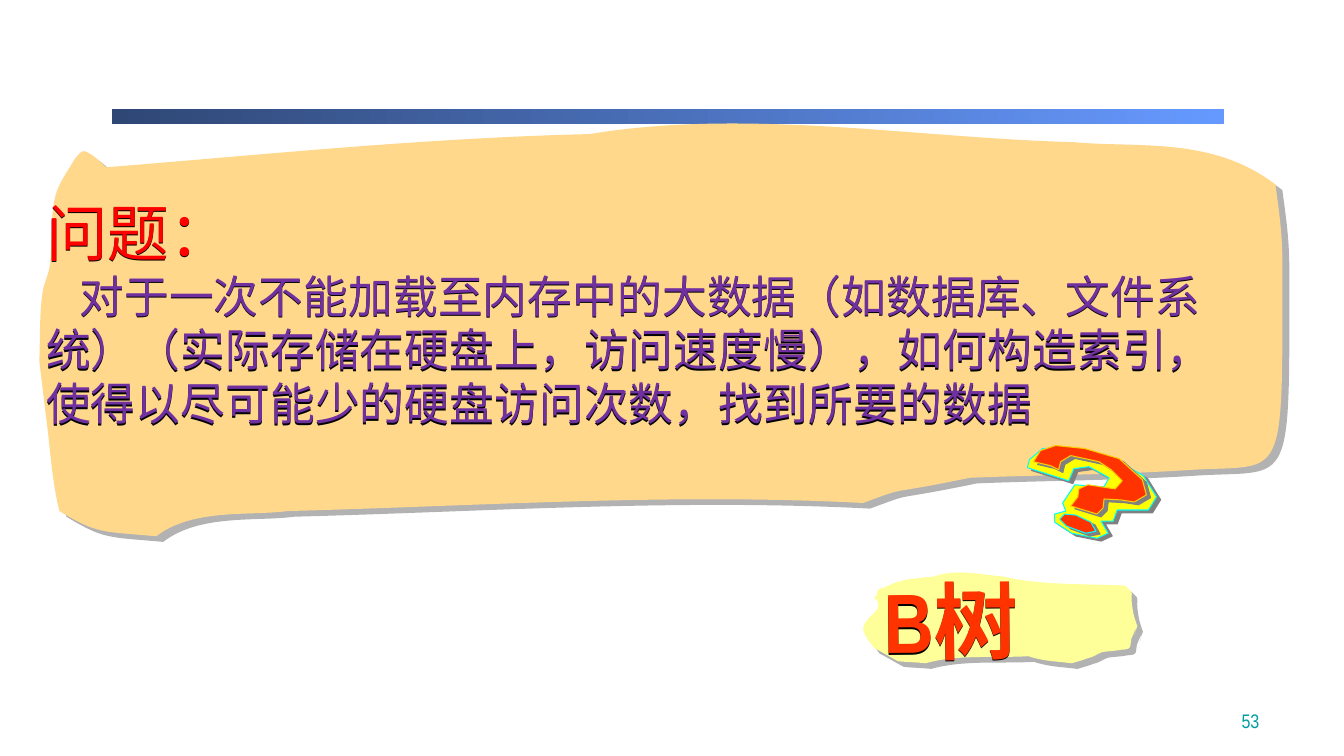
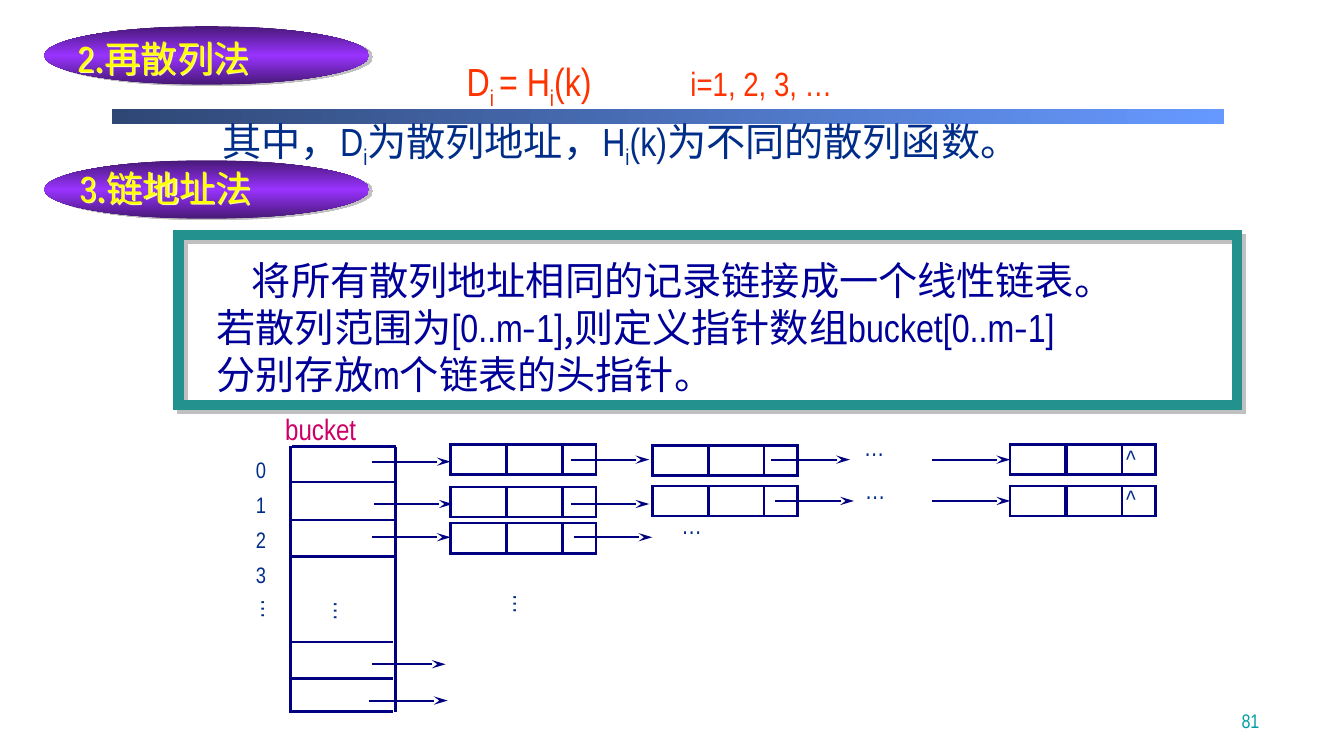
from dataclasses import dataclass
from typing import NamedTuple, Optional

from lxml.etree import SubElement
from pptx import Presentation
from pptx.dml.color import RGBColor
from pptx.enum.shapes import MSO_CONNECTOR, MSO_SHAPE
from pptx.enum.text import MSO_ANCHOR, MSO_AUTO_SIZE, PP_ALIGN
from pptx.oxml.ns import qn
from pptx.util import Pt

PX = 9144  # 100 px to the inch
NARROW, HEI = "Arial Narrow", "Noto Sans CJK SC"

BLACK = RGBColor(0x00, 0x00, 0x00)
RED = RGBColor(0xFF, 0x00, 0x00)
ORANGE_RED = RGBColor(0xFF, 0x33, 0x00)
GOLD = RGBColor(0xFF, 0xCC, 0x00)
YELLOW = RGBColor(0xFF, 0xFF, 0x00)
PALE_YELLOW = RGBColor(0xFF, 0xFF, 0x99)
SAND = RGBColor(0xFF, 0xD8, 0x8B)
CYAN = RGBColor(0x00, 0xFF, 0xFF)
TEAL = RGBColor(0x23, 0x91, 0x8E)
NUMBER_TEAL = RGBColor(0x00, 0x9E, 0xA1)
PURPLE = RGBColor(0x70, 0x30, 0xA0)
PILL_DARK = RGBColor(0x47, 0x18, 0x76)
PILL_LIGHT = RGBColor(0x99, 0x33, 0xFF)
BAND_DARK = RGBColor(0x2F, 0x47, 0x75)
BAND_LIGHT = RGBColor(0x66, 0x99, 0xFF)
NAVY = RGBColor(0x00, 0x00, 0x80)
TEXT_BLUE = RGBColor(0x00, 0x2D, 0x88)
PANEL_BLUE = RGBColor(0x00, 0x00, 0x99)
MAGENTA = RGBColor(0xCC, 0x00, 0x66)
DARK_GREY = RGBColor(0x80, 0x80, 0x80)
MID_GREY = RGBColor(0xB2, 0xB2, 0xB2)
LIGHT_GREY = RGBColor(0xC0, 0xC0, 0xC0)


class Area(NamedTuple):
    left: int
    top: int
    width: int
    height: int


class Shadow(NamedTuple):
    color: RGBColor
    distance: float
    angle: int


class Span(NamedTuple):
    text: str
    font: str = NARROW
    subscript: bool = False
    size: Optional[int] = None


@dataclass
class Line:
    spans: list[Span]
    size: int
    color: RGBColor
    indent: int = 0
    tab: int = 0
    spacing: float = 1.0
    bold: bool = False


@dataclass
class Outline:
    """Closed outline: a start point, then corners (x, y) or cubic curves of six numbers."""
    start: tuple[int, int]
    segments: list[tuple[int, ...]]
    fill: RGBColor
    shadow: Shadow
    line: Optional[RGBColor] = None


def scaled(*lengths: int) -> list[int]:
    return [length * PX for length in lengths]


def set_shadow(shape, shadow: Optional[Shadow]) -> None:
    shape.shadow.inherit = False
    if shadow:
        effects = shape._element.spPr.find(qn("a:effectLst"))
        outer = SubElement(effects, qn("a:outerShdw"), dist=str(int(Pt(shadow.distance))),
                           dir=str(shadow.angle * 60000), algn="ctr", rotWithShape="0")
        SubElement(outer, qn("a:srgbClr"), val=str(shadow.color))


def add_shape(page, kind, area: Area, line: Optional[RGBColor] = None, weight: float = 1.75,
              stops: Optional[list[RGBColor]] = None, angle: int = 0,
              shadow: Optional[Shadow] = None) -> None:
    shape = page.shapes.add_shape(kind, *scaled(*area))
    if stops:
        shape.fill.gradient()
        shape.fill.gradient_angle = angle
        stop_list = shape._element.spPr.find(qn("a:gradFill")).find(qn("a:gsLst"))
        stop_list.clear()
        for index, color in enumerate(stops):
            stop = SubElement(stop_list, qn("a:gs"), pos=str(100000 * index // (len(stops) - 1)))
            SubElement(stop, qn("a:srgbClr"), val=str(color))
    else:
        shape.fill.background()
    if line is None:
        shape.line.fill.background()
    else:
        shape.line.color.rgb = line
        shape.line.width = Pt(weight)
        SubElement(shape._element.spPr.find(qn("a:ln")), qn("a:miter"), lim="800000")
    set_shadow(shape, shadow)


def add_outline(page, outline: Outline) -> None:
    numbers = [number for segment in outline.segments for number in segment]
    points = [tuple(scaled(*pair)) for pair in zip(numbers[::2], numbers[1::2])]
    builder = page.shapes.build_freeform(*scaled(*outline.start))
    builder.add_line_segments(points, close=True)
    shape = builder.convert_to_shape()
    # Gather the points of each curve into one cubic segment
    corners = list(shape._element.spPr.iter(qn("a:lnTo")))
    for segment in outline.segments:
        group, corners = corners[:len(segment) // 2], corners[len(segment) // 2:]
        if len(group) == 3:
            curve = group[0].makeelement(qn("a:cubicBezTo"))
            group[0].addprevious(curve)
            for corner in group:
                curve.append(corner[0])
                corner.getparent().remove(corner)
    shape.fill.solid()
    shape.fill.fore_color.rgb = outline.fill
    if outline.line is None:
        shape.line.fill.background()
    else:
        shape.line.color.rgb = outline.line
        shape.line.width = Pt(0.75)
    set_shadow(shape, outline.shadow)


def add_text(page, area: Area, lines: list[Line], shadow: Optional[Shadow] = None,
             wrap: bool = True, rotation: float = 0):
    box = page.shapes.add_textbox(*scaled(*area))
    box.rotation = rotation
    frame = box.text_frame
    frame.word_wrap = wrap
    if not wrap:
        frame.auto_size = MSO_AUTO_SIZE.SHAPE_TO_FIT_TEXT
    for index, line in enumerate(lines):
        para = frame.add_paragraph() if index else frame.paragraphs[0]
        para.line_spacing = line.spacing
        layout = para._p.get_or_add_pPr()
        if line.indent:
            layout.set("indent", str(line.indent * PX))
        if line.tab:
            SubElement(SubElement(layout, qn("a:tabLst")), qn("a:tab"),
                       pos=str(line.tab * PX), algn="l")
        for span in line.spans:
            run = para.add_run()
            run.text = span.text
            font = run.font
            font.name, font.size, font.bold = span.font, Pt(span.size or line.size), line.bold
            font.color.rgb = line.color
            properties = run._r.get_or_add_rPr()
            SubElement(properties, qn("a:ea"), typeface=HEI)
            if span.subscript:
                properties.set("baseline", "-25000")
    set_shadow(box, shadow)
    return box


def add_line(page, x1: int, y1: int, x2: int, y2: int, weight: float, arrow: bool = False) -> None:
    line = page.shapes.add_connector(MSO_CONNECTOR.STRAIGHT, *scaled(x1, y1, x2, y2))
    line.line.color.rgb = NAVY
    line.line.width = Pt(weight)
    properties = line._element.spPr
    stroke = properties.find(qn("a:ln"))
    if arrow:
        SubElement(stroke, qn("a:tailEnd"), type="stealth", w="med", len="lg")
    else:
        stroke.set("cap", "sq")
    SubElement(properties, qn("a:effectLst"))


def add_page(deck, number: int):
    """A blank page with the shared band and page number."""
    page = deck.slides.add_slide(deck.slide_layouts[6])
    add_shape(page, MSO_SHAPE.RECTANGLE, Area(111, 108, 1103, 15), stops=[BAND_DARK, BAND_LIGHT])
    box = add_text(page, Area(981, 682, 278, 50), [Line([Span(str(number))], 14, NUMBER_TEAL)])
    box.text_frame.vertical_anchor = MSO_ANCHOR.BOTTOM
    box.text_frame.paragraphs[0].alignment = PP_ALIGN.RIGHT
    return page


def add_pill(page, top: int, text_left: int, text_top: int, number: str, name: str) -> None:
    add_shape(page, MSO_SHAPE.OVAL, Area(44, top, 322, 58), angle=90,
              stops=[PILL_DARK, PILL_LIGHT, PILL_DARK], shadow=Shadow(LIGHT_GREY, 3, 22))
    add_text(page, Area(text_left, text_top, 322, 53),
             [Line([Span(number), Span("." + name, HEI)], 26, YELLOW)],
             Shadow(PALE_YELLOW, 1.4, 45))


# Outlines of the question page
QUESTION_CARD = Outline((74, 158), [
    (77, 155, 80, 149, 84, 150), (92, 152, 105, 166, 105, 166), (267, 153, 420, 137, 585, 133),
    (741, 107, 910, 137, 1064, 141), (1129, 147, 1202, 135, 1265, 183),
    (1269, 213, 1272, 231, 1272, 266), (1272, 482, 1275, 461, 1184, 466),
    (1110, 471, 1036, 471, 962, 474), (870, 493, 905, 481, 856, 499),
    (665, 489, 476, 502, 285, 507), (249, 512, 191, 504, 155, 532), (101, 527, 97, 530, 59, 507),
    (51, 475, 50, 444, 45, 408), (43, 391, 39, 358, 39, 358), (40, 336, 39, 313, 42, 292),
    (43, 282, 47, 276, 49, 266), (53, 242, 49, 212, 56, 191), (61, 177, 68, 169, 74, 158),
], SAND, Shadow(MID_GREY, 6.4, 39))
ANSWER_CARD = Outline((869, 591), [
    (870, 589, 870, 587, 871, 585), (873, 583, 875, 584, 877, 583), (894, 574, 907, 574, 926, 572),
    (949, 564, 971, 570, 995, 572), (1034, 581, 1076, 579, 1116, 581),
    (1128, 593, 1119, 581, 1124, 608), (1125, 613, 1128, 621, 1128, 621),
    (1119, 649, 1134, 605, 1122, 634), (1121, 637, 1122, 641, 1120, 643),
    (1117, 645, 1113, 644, 1110, 645), (1104, 646, 1098, 646, 1093, 647),
    (1088, 649, 1084, 652, 1079, 653), (1074, 655, 1063, 658, 1063, 658),
    (1047, 656, 1035, 656, 1020, 651), (987, 653, 950, 649, 918, 658),
    (909, 657, 900, 657, 891, 656), (890, 656, 870, 644, 867, 643), (862, 636, 858, 632, 856, 624),
    (858, 614, 863, 613, 869, 606), (870, 604, 872, 602, 871, 600), (870, 590, 864, 596, 869, 591),
], PALE_YELLOW, Shadow(MID_GREY, 5.7, 45))
MARK_SHADOW = Shadow(DARK_GREY, 3.6, 34)
QUESTION_MARK = [
    Outline((1065, 465), [
        (1080, 463), (1100, 474), (1095, 483), (1066, 481), (1054, 499), (1057, 507), (1046, 510),
        (1046, 518), (1063, 529), (1088, 534), (1099, 529), (1092, 517), (1104, 517), (1108, 506),
        (1139, 506), (1147, 493), (1134, 472), (1101, 453), (1060, 444), (1034, 445), (1021, 456),
        (1019, 464), (1060, 477)], YELLOW, MARK_SHADOW, CYAN),
    Outline((1025, 458), [
        (1042, 462), (1050, 466), (1052, 458), (1062, 452), (1090, 458), (1102, 466), (1113, 477),
        (1106, 485), (1079, 481), (1070, 485), (1069, 493), (1062, 502), (1088, 510), (1094, 504),
        (1095, 495), (1112, 496), (1125, 498), (1137, 491), (1133, 476), (1110, 455), (1076, 445),
        (1047, 442), (1032, 447)], ORANGE_RED, MARK_SHADOW, GOLD),
    Outline((1067, 511), [
        (1056, 510), (1051, 515), (1058, 522), (1077, 529), (1087, 527), (1082, 518)],
        ORANGE_RED, MARK_SHADOW, CYAN),
]

# Linked lists of the hashing page
NODE_CELLS = [(0, 56), (55, 56), (111, 33)]  # offset and width
NODES = [(447, 441), (447, 483), (647, 442), (647, 482), (1002, 441), (1002, 482), (447, 519)]
BUCKET_LINES = [(291, 443, 2), (291, 478, 1.75), (291, 516, 1.75), (291, 552, 1.75),
                (289, 637, 1.75), (289, 673, 1.75), (288, 706, 2)]  # left, y, weight
ARROWS = [(369, 458), (566, 456), (765, 456), (924, 456), (371, 500), (566, 500), (769, 497),
          (924, 497), (369, 533), (569, 533), (366, 695)]
MARKS = [("…", 847, 423, 0), ("…", 848, 466, 0), ("…", 666, 500, 0), ("…", 304, 585, 270),
         ("…", 482, 578, 270), ("…", 232, 583, 270), ("^", 1107, 475, 0), ("^", 1107, 435, 0)]


def build_question_page(deck) -> None:
    page = add_page(deck, 53)
    add_outline(page, QUESTION_CARD)
    question = ("对于一次不能加载至内存中的大数据（如数据库、文件系统）（实际存储在硬盘上，访问速度慢），"
                "如何构造索引，使得以尽可能少的硬盘访问次数，找到所要的数据")
    text_shadow = Shadow(BLACK, 1, 90)
    add_text(page, Area(36, 188, 1216, 246),
             [Line([Span("问题：", HEI)], 44, RED),
              Line([Span(question, HEI)], 32, PURPLE, indent=33)], text_shadow)
    for part in QUESTION_MARK:
        add_outline(page, part)
    add_outline(page, ANSWER_CARD)
    add_text(page, Area(867, 559, 304, 111),
             [Line([Span("B树")], 60, ORANGE_RED, bold=True)], text_shadow, rotation=-0.5)


def build_hashing_page(deck) -> None:
    page = add_page(deck, 81)
    add_pill(page, 26, 67, 31, "2", "再散列法")

    # Rehashing formula
    index = Span("i", subscript=True)
    add_text(page, Area(453, 52, 652, 57),
             [Line([Span("D"), Span("i ", subscript=True), Span("= H"), index, Span("(k)"),
                    Span("\ti=1, 2, 3, …", size=24)], 28, ORANGE_RED, tab=222)])
    add_text(page, Area(211, 111, 1000, 57), [Line(
        [Span("其中，", HEI), Span("D"), index, Span("为散列地址，", HEI), Span("H"), index,
         Span("(k)"), Span("为不同的散列函数。", HEI)], 28, TEXT_BLUE)])

    # Chaining panel
    add_shape(page, MSO_SHAPE.RECTANGLE, Area(177, 233, 1050, 169), TEAL, 7.25,
              shadow=Shadow(LIGHT_GREY, 4.2, 45))
    to_last = [Span("-", HEI), Span("1]")]
    add_text(page, Area(205, 249, 1111, 151), [
        Line([Span("将所有散列地址相同的记录链接成一个线性链表。", HEI)], 28, PANEL_BLUE, indent=35),
        Line([Span("若散列范围为", HEI), Span("[0..m"), *to_last, Span(",则定义指针数组", HEI),
              Span("bucket[0..m"), *to_last], 28, PANEL_BLUE),
        Line([Span("分别存放", HEI), Span("m"), Span("个链表的头指针。", HEI)], 28, PANEL_BLUE)])

    # Bucket array and its chains
    for left, y, weight in BUCKET_LINES:
        add_line(page, left, y, left + 100, y, weight)
    add_line(page, 288, 444, 288, 703, 2)
    add_line(page, 392, 445, 392, 705, 2)
    for left, top in NODES:
        for offset, width in NODE_CELLS:
            add_shape(page, MSO_SHAPE.RECTANGLE, Area(left + offset, top, width, 30), NAVY)
    for left, y in ARROWS:
        add_line(page, left, y, left + 78, y, 1.5, arrow=True)
    add_line(page, 369, 659, 442, 659, 1.5, arrow=True)
    for mark, left, top, rotation in MARKS:
        width = 41 if mark == "…" else 30
        add_text(page, Area(left, top, width, 41), [Line([Span(mark)], 18, TEXT_BLUE)],
                 wrap=False, rotation=rotation)
    add_text(page, Area(273, 403, 211, 45), [Line([Span("bucket")], 21, MAGENTA)])
    add_text(page, Area(244, 440, 30, 185),
             [Line([Span(str(row))], 16, TEXT_BLUE, spacing=1.3) for row in range(4)], wrap=False)

    add_pill(page, 159, 69, 160, "3", "链地址法")


def main() -> None:
    deck = Presentation()
    deck.slide_width, deck.slide_height = scaled(1333, 750)
    build_question_page(deck)
    build_hashing_page(deck)
    deck.save("out.pptx")


if __name__ == "__main__":
    main()
